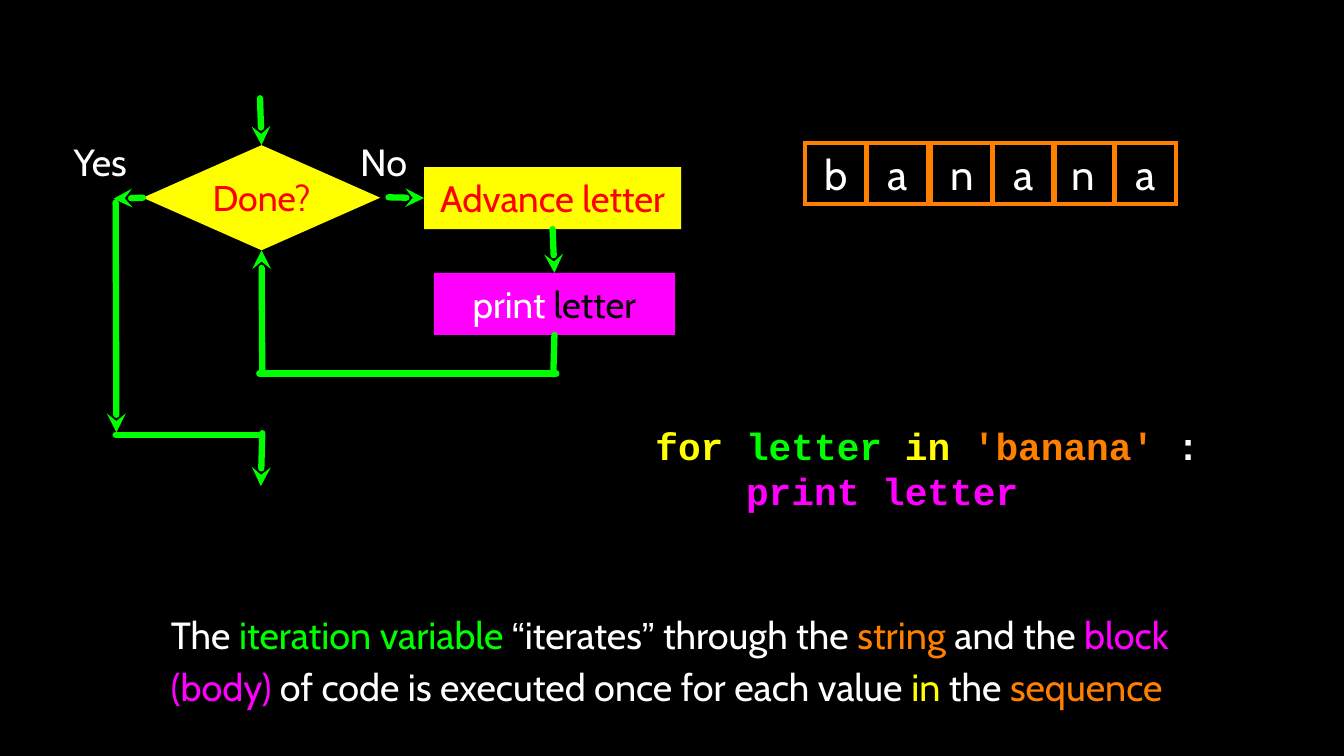
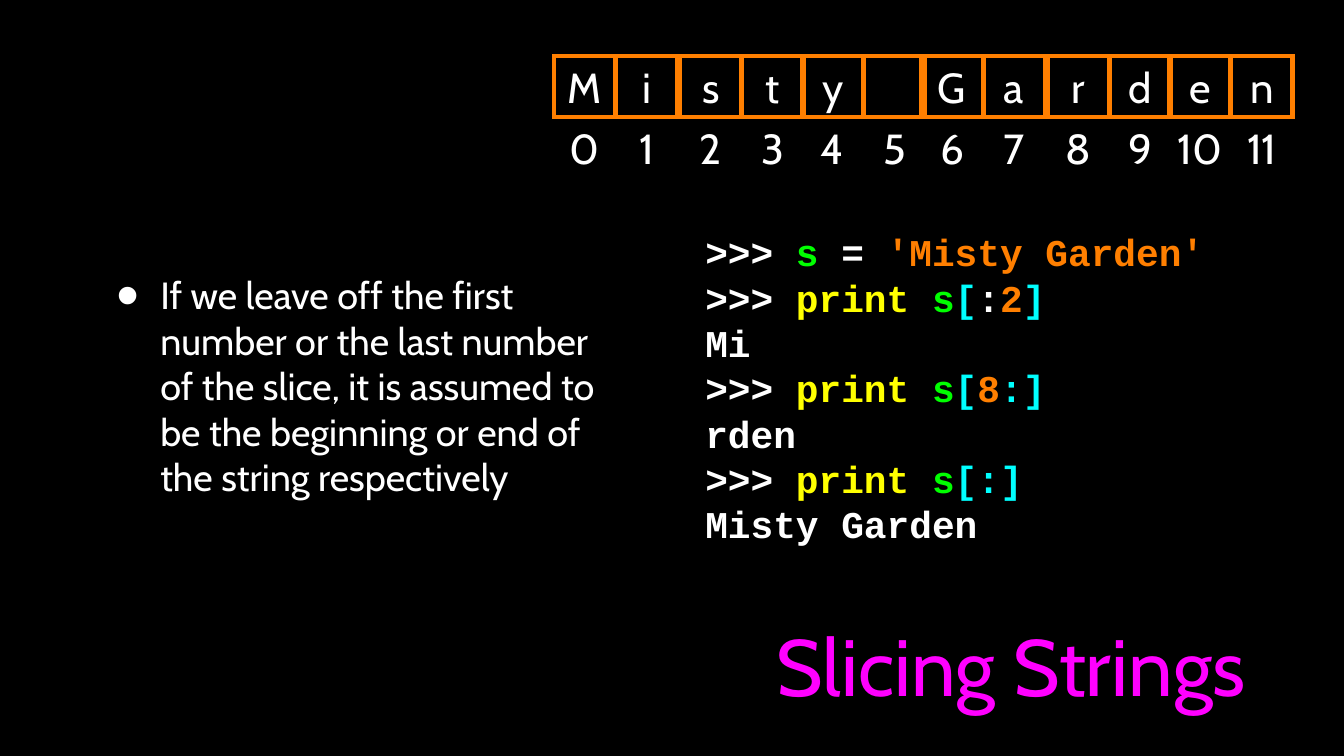
from dataclasses import dataclass
from typing import NamedTuple, Optional, Union

from lxml import etree
from pptx import Presentation
from pptx import util as u
from pptx.dml.color import RGBColor
from pptx.enum import shapes, text
from pptx.oxml import ns

SLIDE_WIDTH = u.Inches(17.78)
SLIDE_HEIGHT = u.Inches(10)
GRID_COLUMNS = 177.8
GRID_ROWS = 100

BLACK = RGBColor(0x00, 0x00, 0x00)
WHITE = RGBColor(0xFF, 0xFF, 0xFF)
RED = RGBColor(0xFF, 0x00, 0x00)
GREEN = RGBColor(0x00, 0xFF, 0x00)
YELLOW = RGBColor(0xFF, 0xFF, 0x00)
MAGENTA = RGBColor(0xFF, 0x00, 0xFF)
ORANGE = RGBColor(0xFF, 0x7F, 0x00)
CYAN = RGBColor(0x00, 0xFF, 0xFF)

LEFT, CENTER = text.PP_ALIGN.LEFT, text.PP_ALIGN.CENTER
TOP_SIDE, LEFT_SIDE, BOTTOM_SIDE = 0, 1, 2

QUOTE_FONT = "Arial"
LABEL = {"name": "Cabin", "size": u.Pt(36)}
DIAMOND_LABEL = {**LABEL, "size": u.Pt(34)}
BOX_LABEL = {**LABEL, "size": u.Pt(35)}
LETTER = {**LABEL, "size": u.Pt(40)}
TITLE = {**LABEL, "size": u.Pt(76)}
CODE = {"name": "Courier New", "size": u.Pt(36), "bold": True}

CELL_SIZE = 8.1
CELL_OFFSETS = (0, 8.2, 16.7, 24.9, 32.8, 41)
CELL_GROUP_WIDTH = 48.6

PHRASE = "Misty Garden"


class Area(NamedTuple):
    left: float
    top: float
    width: float
    height: float


class Point(NamedTuple):
    column: float
    row: float


class Joint(NamedTuple):
    shape_name: str
    side: int


class Run(NamedTuple):
    text: str
    color: RGBColor = WHITE
    font: Optional[str] = None


@dataclass
class Label:
    area: Area
    paragraphs: list
    style: dict
    alignment: int = CENTER
    spacing: float = 1.0


@dataclass
class Box:
    label: Label
    preset: int = shapes.MSO_SHAPE.RECTANGLE
    fill: Optional[RGBColor] = None
    outline: Optional[RGBColor] = None


class Link(NamedTuple):
    begin: Union[Point, Joint]
    end: Union[Point, Joint]
    arrow: bool = True


PROMPT = Run(">>> ")
PRINT = Run("print ", YELLOW)
VARIABLE = Run("s", GREEN)

FLOW_BOXES = {
    "done": Box(
        Label(Area(18.9, 19.2, 31.4, 13.9), [[Run("Done?", RED)]], DIAMOND_LABEL),
        preset=shapes.MSO_SHAPE.DIAMOND, fill=YELLOW),
    "print": Box(
        Label(Area(57.4, 36.1, 31.9, 8.2),
              [[Run("print "), Run("letter", BLACK)]], BOX_LABEL),
        fill=MAGENTA),
    "advance": Box(
        Label(Area(56.1, 22.1, 34, 8.2), [[Run("Advance letter", RED)]], BOX_LABEL),
        fill=YELLOW),
}

FLOW_LINKS = [
    Link(Point(34.4, 13), Joint("done", TOP_SIDE)),
    Link(Point(51.4, 26.1), Joint("advance", LEFT_SIDE)),
    Link(Joint("advance", BOTTOM_SIDE), Joint("print", TOP_SIDE)),
    Link(Joint("print", BOTTOM_SIDE), Point(73.2, 49.5), arrow=False),
    Link(Point(73.6, 49.4), Point(34.3, 49.4), arrow=False),
    Link(Point(34.7, 49.4), Joint("done", BOTTOM_SIDE)),
    Link(Joint("done", LEFT_SIDE), Point(15, 26.3)),
    Link(Point(15.3, 26.8), Point(15.4, 57.2)),
    Link(Point(15.3, 57.5), Point(34.5, 57.5), arrow=False),
    Link(Point(34.7, 57.3), Point(34.5, 64.3)),
]

FLOW_LABELS = [
    Label(Area(9.3, 17.9, 7.9, 6.8), [[Run("Yes")]], LABEL),
    Label(Area(46.8, 17.9, 7.9, 6.8), [[Run("No")]], LABEL),
    Label(Area(22.6, 80.6, 136.1, 12.5), [[
        Run("The"), Run(" iteration variable ", GREEN),
        Run("“", font=QUOTE_FONT), Run("iterates"), Run("”", font=QUOTE_FONT),
        Run(" through the "), Run("string ", ORANGE), Run("and the "),
        Run("block (body)", MAGENTA),
        Run(" of code is executed once for each value "),
        Run("in", YELLOW), Run(" the "), Run("sequence", ORANGE),
    ]], LABEL, LEFT, 1.15),
]

LOOP_CODE = Label(Area(86.7, 55.6, 72.6, 12.5), [
    [Run("for ", YELLOW), Run("letter ", GREEN), Run("in ", YELLOW),
     Run("'banana' ", ORANGE), Run(":")],
    [Run("print letter", MAGENTA)],
], CODE, LEFT)

SLICE_CODE = Label(Area(93.3, 30.1, 75.1, 42.4), [
    [PROMPT, VARIABLE, Run(" = "), Run(f"'{PHRASE}'", ORANGE)],
    [PROMPT, PRINT, VARIABLE, Run("[", CYAN), Run(":"), Run("2", ORANGE), Run("]", CYAN)],
    [Run(PHRASE[:2])],
    [PROMPT, PRINT, VARIABLE, Run("[", CYAN), Run("8", ORANGE), Run(":]", CYAN)],
    [Run(PHRASE[8:])],
    [PROMPT, PRINT, VARIABLE, Run("[:]", CYAN)],
    [Run(PHRASE)],
], CODE, LEFT)

SLICE_BODY = Label(Area(12.6, 28.5, 70.4, 45), [[Run(
    "If we leave off the first number or the last number of the slice, "
    "it is assumed to be the beginning or end of the string respectively")]],
    LABEL, LEFT)
SLICE_TITLE = Label(Area(97.2, 77.4, 73.1, 21), [[Run("Slicing Strings", MAGENTA)]], TITLE)


def across(columns: float) -> int:
    return round(SLIDE_WIDTH * columns / GRID_COLUMNS)


def down(rows: float) -> int:
    return round(SLIDE_HEIGHT * rows / GRID_ROWS)


def place(area: Area) -> tuple:
    return across(area.left), down(area.top), across(area.width), down(area.height)


def set_attributes(target, values: dict) -> None:
    for name, value in values.items():
        setattr(target, name, value)


def write(shape, label: Label, inset: float = 0) -> None:
    frame = shape.text_frame
    margins = dict.fromkeys(
        ("margin_left", "margin_top", "margin_right", "margin_bottom"), u.Inches(inset))
    set_attributes(frame, {
        **margins, "word_wrap": True, "auto_size": text.MSO_AUTO_SIZE.NONE,
        "vertical_anchor": text.MSO_ANCHOR.MIDDLE})
    for index, runs in enumerate(label.paragraphs):
        paragraph = frame.add_paragraph() if index else frame.paragraphs[0]
        set_attributes(paragraph, {
            "alignment": label.alignment, "line_spacing": label.spacing,
            "space_before": u.Pt(0), "space_after": u.Pt(0)})
        for part in runs:
            run = paragraph.add_run()
            run.text = part.text
            set_attributes(run.font, label.style)
            run.font.color.rgb = part.color
            if part.font:
                run.font.name = part.font


def add_label(slide, label: Label):
    shape = slide.shapes.add_textbox(*place(label.area))
    write(shape, label)
    return shape


def add_box(slide, box: Box):
    shape = slide.shapes.add_shape(box.preset, *place(box.label.area))
    shape.shadow.inherit = False
    for fill, color in ((shape.fill, box.fill), (shape.line.fill, box.outline)):
        if color is None:
            fill.background()
        else:
            fill.solid()
            fill.fore_color.rgb = color
    if box.outline is not None:
        shape.line.width = u.Pt(4)
        outline = shape._element.spPr.find(ns.qn("a:ln"))
        etree.SubElement(outline, ns.qn("a:miter"), lim="800000")
    if box.label.paragraphs:
        write(shape, box.label)
    return shape


def add_link(slide, link: Link, boxes: dict) -> None:
    ends = [
        (0, 0) if isinstance(end, Joint) else (across(end.column), down(end.row))
        for end in (link.begin, link.end)]
    connector = slide.shapes.add_connector(
        shapes.MSO_CONNECTOR.STRAIGHT, *ends[0], *ends[1])
    for end, connect in ((link.begin, connector.begin_connect),
                         (link.end, connector.end_connect)):
        if isinstance(end, Joint):
            connect(boxes[end.shape_name], end.side)
    connector.line.color.rgb = GREEN
    connector.line.width = u.Pt(6)
    properties = connector._element.spPr
    outline = properties.find(ns.qn("a:ln"))
    outline.set("cap", "rnd")
    if link.arrow:
        etree.SubElement(outline, ns.qn("a:tailEnd"), type="stealth")
    etree.SubElement(properties, ns.qn("a:effectLst"))


def add_letter_cells(slide, word: str, left: float, top: float, numbered: bool = False) -> None:
    for index, letter in enumerate(word):
        group, position = divmod(index, len(CELL_OFFSETS))
        column = left + group * CELL_GROUP_WIDTH + CELL_OFFSETS[position]
        area = Area(column, top, CELL_SIZE, CELL_SIZE)
        content = [[Run(letter)]] if letter.strip() else []
        add_box(slide, Box(Label(area, content, LETTER), outline=ORANGE))
        if numbered:
            below = area._replace(top=top + CELL_SIZE)
            add_label(slide, Label(below, [[Run(str(index))]], LETTER))


def fill_placeholder(shape, label: Label) -> None:
    set_attributes(shape, dict(zip(("left", "top", "width", "height"), place(label.area))))
    write(shape, label, inset=0.04)


def indent(paragraph, margin: float, first_line: float = 0):
    properties = paragraph._p.get_or_add_pPr()
    properties.set("marL", str(u.Inches(margin)))
    properties.set("indent", str(u.Inches(first_line)))
    return properties


def add_bullet(paragraph) -> None:
    properties = indent(paragraph, 0.82, -0.58)
    color = etree.SubElement(properties, ns.qn("a:buClr"))
    etree.SubElement(color, ns.qn("a:srgbClr"), val=str(WHITE))
    etree.SubElement(properties, ns.qn("a:buSzPct"), val="171000")
    etree.SubElement(properties, ns.qn("a:buChar"), char="•")


def build_loop_slide(presentation) -> None:
    slide = presentation.slides.add_slide(presentation.slide_layouts[6])
    boxes = {name: add_box(slide, box) for name, box in FLOW_BOXES.items()}
    for link in FLOW_LINKS:
        add_link(slide, link, boxes)
    for label in FLOW_LABELS:
        add_label(slide, label)
    code = add_label(slide, LOOP_CODE)
    indent(code.text_frame.paragraphs[1], 1.2)
    add_letter_cells(slide, "banana", 106.5, 18.9)


def build_slicing_slide(presentation) -> None:
    slide = presentation.slides.add_slide(presentation.slide_layouts[1])
    body = slide.placeholders[1]
    fill_placeholder(body, SLICE_BODY)
    add_bullet(body.text_frame.paragraphs[0])
    fill_placeholder(slide.shapes.title, SLICE_TITLE)
    add_label(slide, SLICE_CODE)
    add_letter_cells(slide, PHRASE, 73.3, 7.4, numbered=True)


def main() -> None:
    presentation = Presentation()
    set_attributes(presentation, {"slide_width": SLIDE_WIDTH, "slide_height": SLIDE_HEIGHT})
    background = presentation.slide_master.background.fill
    background.solid()
    background.fore_color.rgb = BLACK
    build_loop_slide(presentation)
    build_slicing_slide(presentation)
    presentation.save("out.pptx")


if __name__ == "__main__":
    main()
